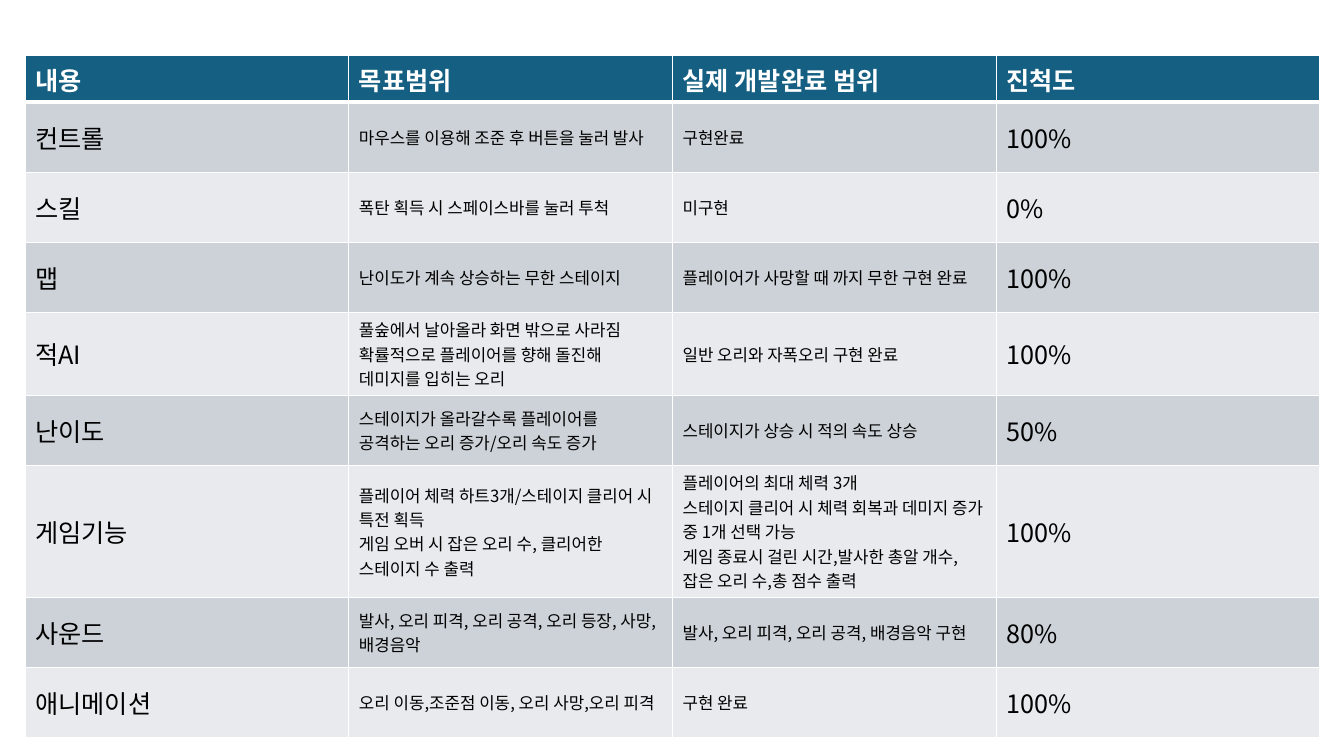
from lxml.etree import SubElement
from pptx import Presentation
from pptx.dml.color import RGBColor
from pptx.enum.text import MSO_ANCHOR as Anchor
from pptx.oxml.ns import qn
from pptx.util import Pt

FONT = "Noto Sans CJK KR"
WHITE = RGBColor(0xFF, 0xFF, 0xFF)
BLACK = RGBColor(0, 0, 0)
TEAL = RGBColor(0x15, 0x60, 0x82)
BANDS = (RGBColor(0xCC, 0xD2, 0xD8), RGBColor(0xE8, 0xEA, 0xED))

LEFT, TOP, COLUMN = 18, 39.8, 231.2
HEADER_HEIGHT, ROW_HEIGHT = 32, 50

HEADINGS = ("내용", "목표범위", "실제 개발완료 범위", "진척도")
FEATURES = (
    ("컨트롤", "마우스를 이용해 조준 후 버튼을 눌러 발사", "구현완료", "100%"),
    ("스킬", "폭탄 획득 시 스페이스바를 눌러 투척", "미구현", "0%"),
    ("맵", "난이도가 계속 상승하는 무한 스테이지",
     "플레이어가 사망할 때 까지 무한 구현 완료", "100%"),
    ("적AI", "풀숲에서 날아올라 화면 밖으로 사라짐\n"
     "확률적으로 플레이어를 향해 돌진해 데미지를 입히는 오리",
     "일반 오리와 자폭오리 구현 완료", "100%"),
    ("난이도", "스테이지가 올라갈수록 플레이어를 공격하는 오리 증가/오리 속도 증가",
     "스테이지가 상승 시 적의 속도 상승", "50%"),
    ("게임기능", "플레이어 체력 하트3개/스테이지 클리어 시 특전 획득\n"
     "게임 오버 시 잡은 오리 수, 클리어한 스테이지 수 출력",
     "플레이어의 최대 체력 3개\n"
     "스테이지 클리어 시 체력 회복과 데미지 증가 중 1개 선택 가능\n"
     "게임 종료시 걸린 시간,발사한 총알 개수, 잡은 오리 수,총 점수 출력", "100%"),
    ("사운드", "발사, 오리 피격, 오리 공격, 오리 등장, 사망, 배경음악",
     "발사, 오리 피격, 오리 공격, 배경음악 구현", "80%"),
    ("애니메이션", "오리 이동,조준점 이동, 오리 사망,오리 피격", "구현 완료", "100%"),
)


def write_text(frame, text, size=18, color=BLACK, bold=False):
    frame.text = text
    for paragraph in frame.paragraphs:
        for run in paragraph.runs:
            font = run.font
            font.size, font.bold, font.name = Pt(size), bold, FONT
            font.color.rgb = color
            SubElement(run._r.get_or_add_rPr(), qn("a:ea"), typeface=FONT)


def draw_borders(cell, top=1, bottom=1):
    widths = {"a:lnL": 1, "a:lnR": 1, "a:lnT": top, "a:lnB": bottom}
    for side, width in widths.items():
        line = SubElement(cell._tc.get_or_add_tcPr(), qn(side), w=str(Pt(width)))
        fill = SubElement(line, qn("a:solidFill"))
        SubElement(fill, qn("a:srgbClr"), val=str(WHITE))


def fill_cell(cell, color):
    cell.fill.solid()
    cell.fill.fore_color.rgb = color


def add_progress_table(slide):
    row_count, column_count = len(FEATURES) + 1, len(HEADINGS)
    height = HEADER_HEIGHT + ROW_HEIGHT * len(FEATURES)
    progress = slide.shapes.add_table(
        row_count, column_count, Pt(LEFT), Pt(TOP),
        Pt(COLUMN * column_count), Pt(height)).table
    progress.horz_banding = False
    for column in progress.columns:
        column.width = Pt(COLUMN)
    for index, row in enumerate(progress.rows):
        row.height = Pt(ROW_HEIGHT if index else HEADER_HEIGHT)

    # Header row, set off by a thick rule
    for column, heading in enumerate(HEADINGS):
        cell = progress.cell(0, column)
        draw_borders(cell, bottom=3)
        fill_cell(cell, TEAL)
        write_text(cell.text_frame, heading, color=WHITE, bold=True)

    # Feature rows: large outer columns, small descriptions between them
    for index, feature in enumerate(FEATURES):
        for column, entry in enumerate(feature):
            cell = progress.cell(index + 1, column)
            draw_borders(cell, top=1 if index else 3)
            fill_cell(cell, BANDS[index % 2])
            cell.vertical_anchor = Anchor.MIDDLE
            write_text(cell.text_frame, entry, size=12 if column in (1, 2) else 18)


def main():
    deck = Presentation()
    deck.slide_width, deck.slide_height = Pt(960), Pt(540)
    slide = deck.slides.add_slide(deck.slide_layouts[6])
    add_progress_table(slide)
    deck.save("out.pptx")


if __name__ == "__main__":
    main()
